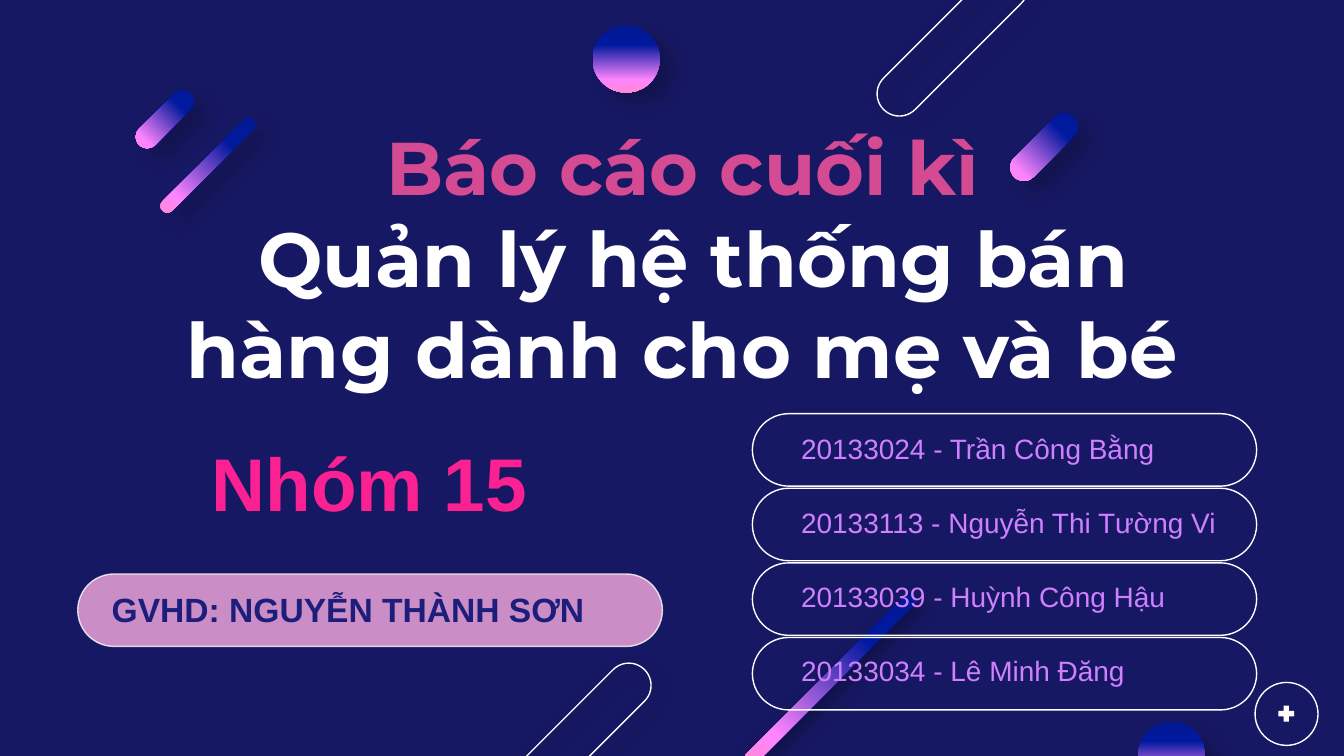
from lxml import etree
from pptx import Presentation
from pptx import util as u
from pptx.dml.color import RGBColor
from pptx.enum import shapes, text
from pptx.oxml import parse_xml
from pptx.oxml import ns

Cm, Pt = u.Cm, u.Pt
NAMESPACE = ns.nsdecls("a")
GRADIENT = [(0, "011993"), (29, "01199E"), (81, "FF85FF"), (100, "FF8AD1")]


def color(value):
    return RGBColor.from_string(value)


def write(frame, *lines, align=text.PP_ALIGN.LEFT, anchor=text.MSO_ANCHOR.TOP,
          inset=0.13, font="Arial", bold=False, fit=text.MSO_AUTO_SIZE.NONE):
    """Write (text, size, colour) lines as one paragraph."""
    frame.word_wrap = True
    frame.auto_size = fit
    frame.vertical_anchor = anchor
    frame.margin_left = frame.margin_right = Cm(inset)
    frame.margin_top = frame.margin_bottom = Cm(inset)
    paragraph = frame.paragraphs[0]
    paragraph.alignment = align
    paragraph.line_spacing = 1.0
    paragraph.space_before = Pt(0)
    for index, (words, size, hex_color) in enumerate(lines):
        if index:
            paragraph.add_line_break()
        run = paragraph.add_run()
        run.text = words
        run.font.name = font
        run.font.size = Pt(size)
        run.font.bold = bold
        run.font.color.rgb = color(hex_color)


presentation = Presentation()
presentation.slide_width, presentation.slide_height = Cm(25.4), Cm(14.29)
slide = presentation.slides.add_slide(presentation.slide_layouts[0])
slide.background.fill.solid()
slide.background.fill.fore_color.rgb = color("171863")

# Decorations and frames: kind, left, top, width, height, rotation, fill, shadow
pill = shapes.MSO_SHAPE.ROUNDED_RECTANGLE
circle = shapes.MSO_SHAPE.OVAL
cross = shapes.MSO_SHAPE.CROSS
soft, tight = (22, 9, 40), (40, 3.8, 40)  # opacity, distance, direction
items = [
    (pill, 2.9, 1.57, 0.43, 1.37, 45, "gradient", soft),
    (pill, 3.81, 1.9, 0.25, 2.44, 45, "gradient", soft),
    (pill, 17.58, -1.07, 0.84, 3.68, 45, None, tight),
    (pill, 19.48, 1.98, 0.51, 1.6, 45, "gradient", soft),
    (circle, 11.2, 0.48, 1.27, 1.27, 0, "gradient", soft),
    (circle, 23.72, 12.9, 1.19, 1.19, 0, None, None),
    (cross, 24.16, 13.34, 0.3, 0.3, 0, "FFFFFF", None),
    (pill, 15.57, 10.59, 0.25, 4.5, 45, "gradient", tight),
    (pill, 10.46, 12.12, 0.84, 3.68, 45, None, tight),
    (circle, 21.51, 13.64, 1.27, 1.27, 0, "gradient", soft),
    (pill, 1.47, 10.85, 11.05, 1.37, 0, "FEAEE1", None),
]
items += [(pill, 14.22, 7.82 + 1.41 * row, 9.53, 1.37, 0, None, None)
          for row in range(4)]

for kind, left, top, width, height, rotation, fill, shadow in items:
    shape = slide.shapes.add_shape(kind, Cm(left), Cm(top), Cm(width), Cm(height))
    shape.rotation = rotation
    if kind != circle:
        shape.adjustments[0] = 0.5 if kind == pill else 0.33

    if fill == "gradient":
        shape.fill.gradient()
        shape.fill.gradient_angle = 270
        stops = shape._element.spPr.find(".//" + ns.qn("a:gsLst"))
        for stop in list(stops):
            stops.remove(stop)
        for position, value in GRADIENT:
            stops.append(parse_xml(f'<a:gs {NAMESPACE} pos="{position * 1000}">'
                                   f'<a:srgbClr val="{value}"/></a:gs>'))
    elif fill:
        shape.fill.solid()
        shape.fill.fore_color.rgb = color(fill)
    else:
        shape.fill.background()

    if fill == "gradient" or kind == cross:
        shape.line.fill.background()
    else:
        shape.line.color.rgb = color("FFFFFF")
        shape.line.width = Pt(0.75)

    # The supervisor pill is translucent
    if fill == "FEAEE1":
        for value in shape._element.spPr.iter(ns.qn("a:srgbClr")):
            etree.SubElement(value, ns.qn("a:alpha"), val="78000")

    shape.shadow.inherit = False
    if shadow:
        opacity, distance, direction = shadow
        shape._element.spPr.find(ns.qn("a:effectLst")).append(parse_xml(
            f'<a:outerShdw {NAMESPACE} blurRad="{Pt(11)}" dist="{Pt(distance)}" '
            f'dir="{direction * 60000}" algn="ctr" rotWithShape="0">'
            f'<a:srgbClr val="000000"><a:alpha val="{opacity * 1000}"/>'
            f'</a:srgbClr></a:outerShdw>'))

# Title and supervisor, brought in front of the shapes
title, supervisor = slide.shapes.title, slide.placeholders[1]
for placeholder, left, top, width, height in [
        (title, 2.82, 1.3, 20.17, 7.14), (supervisor, 0.84, 10.8, 11.48, 1.42)]:
    placeholder.left, placeholder.top = Cm(left), Cm(top)
    placeholder.width, placeholder.height = Cm(width), Cm(height)
    slide.shapes._spTree.append(placeholder._element)

centered = dict(align=text.PP_ALIGN.CENTER, bold=True)
middle = dict(anchor=text.MSO_ANCHOR.MIDDLE, inset=0.25)
write(title.text_frame, ("Báo cáo cuối kì", 40, "D54B93"),
      (" Quản lý hệ thống bán hàng dành cho mẹ và bé", 41, "FFFFFF"),
      font="Montserrat", **centered, **middle)
write(supervisor.text_frame, ("GVHD: NGUYỄN THÀNH SƠN", 18, "1D1E7C"),
      **centered, **middle)

# Group members
members = ["20133024 - Trần Công Bằng", "20133113 - Nguyễn Thi Tường Vi",
           "20133039 - Huỳnh Công Hậu", "20133034 - Lê Minh Đăng"]
grow = text.MSO_AUTO_SIZE.SHAPE_TO_FIT_TEXT
for row, member in enumerate(members):
    box = slide.shapes.add_textbox(Cm(15.01), Cm(8.03 + 1.4 * row), Cm(8.46), Cm(0.84))
    write(box.text_frame, (member, 15, "CE80FF"), fit=grow)

# Group name
box = slide.shapes.add_textbox(Cm(3.02), Cm(8.13), Cm(7.92), Cm(1.8))
write(box.text_frame, ("Nhóm 15", 40, "FC2192"), fit=grow, **centered)

presentation.save("out.pptx")
